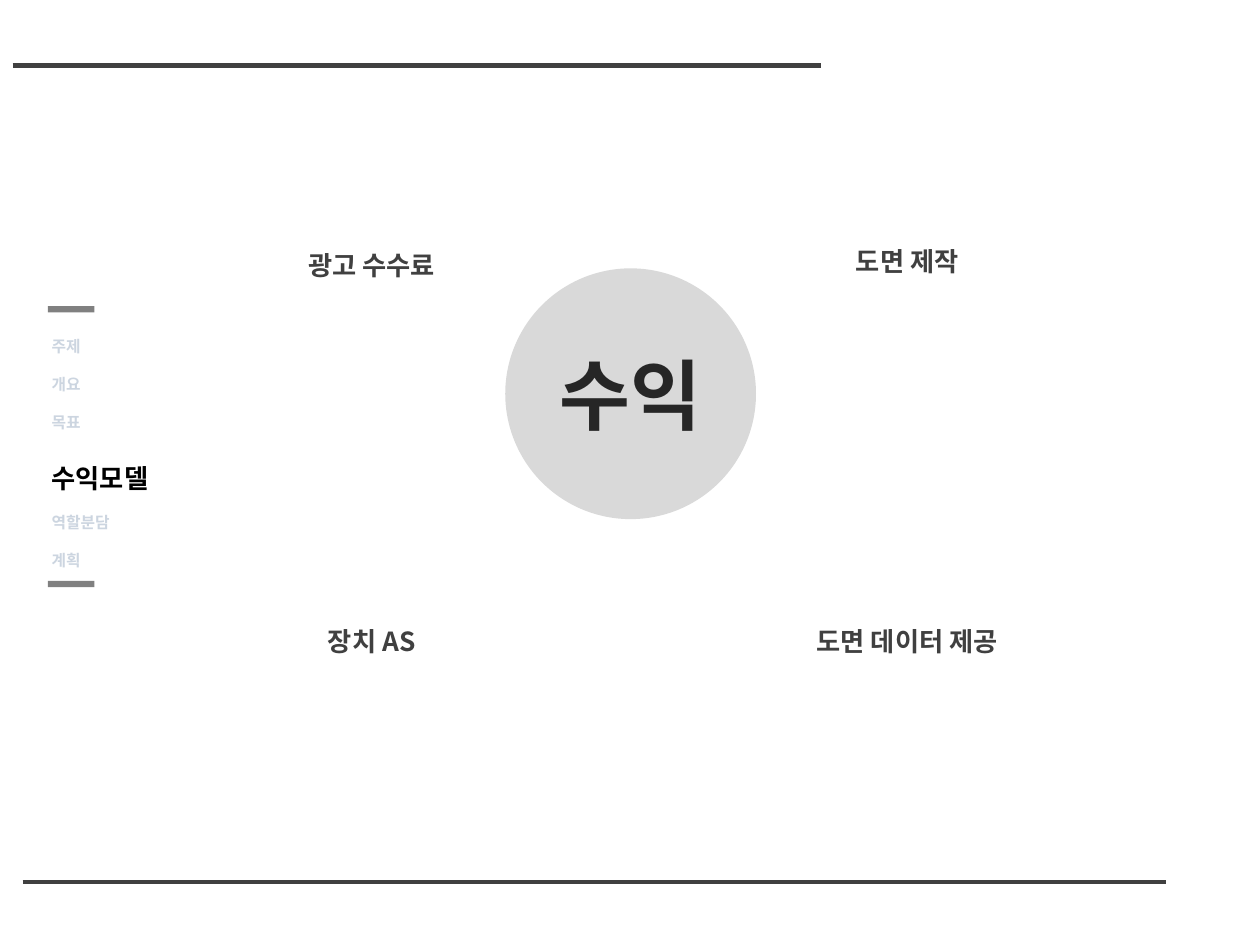
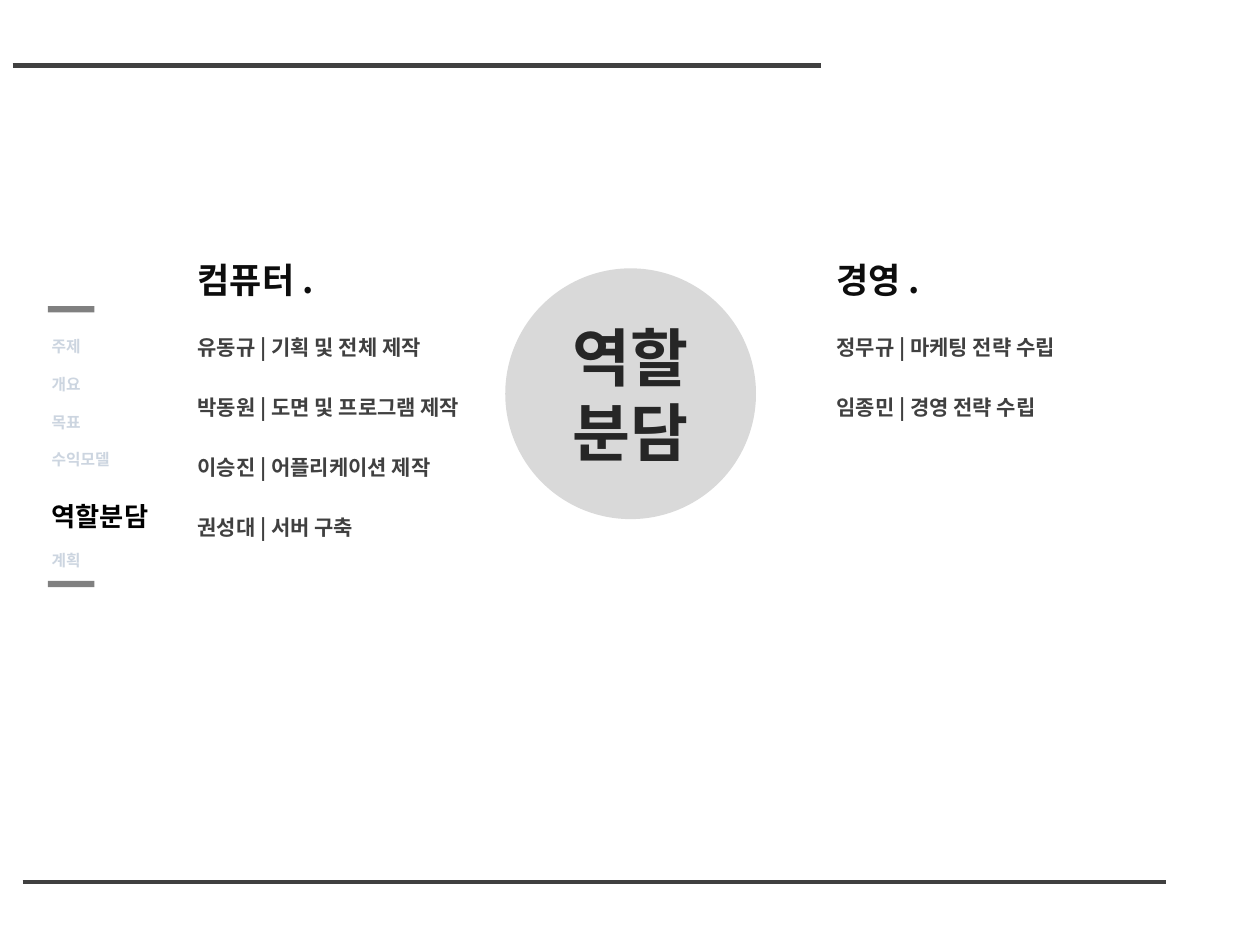
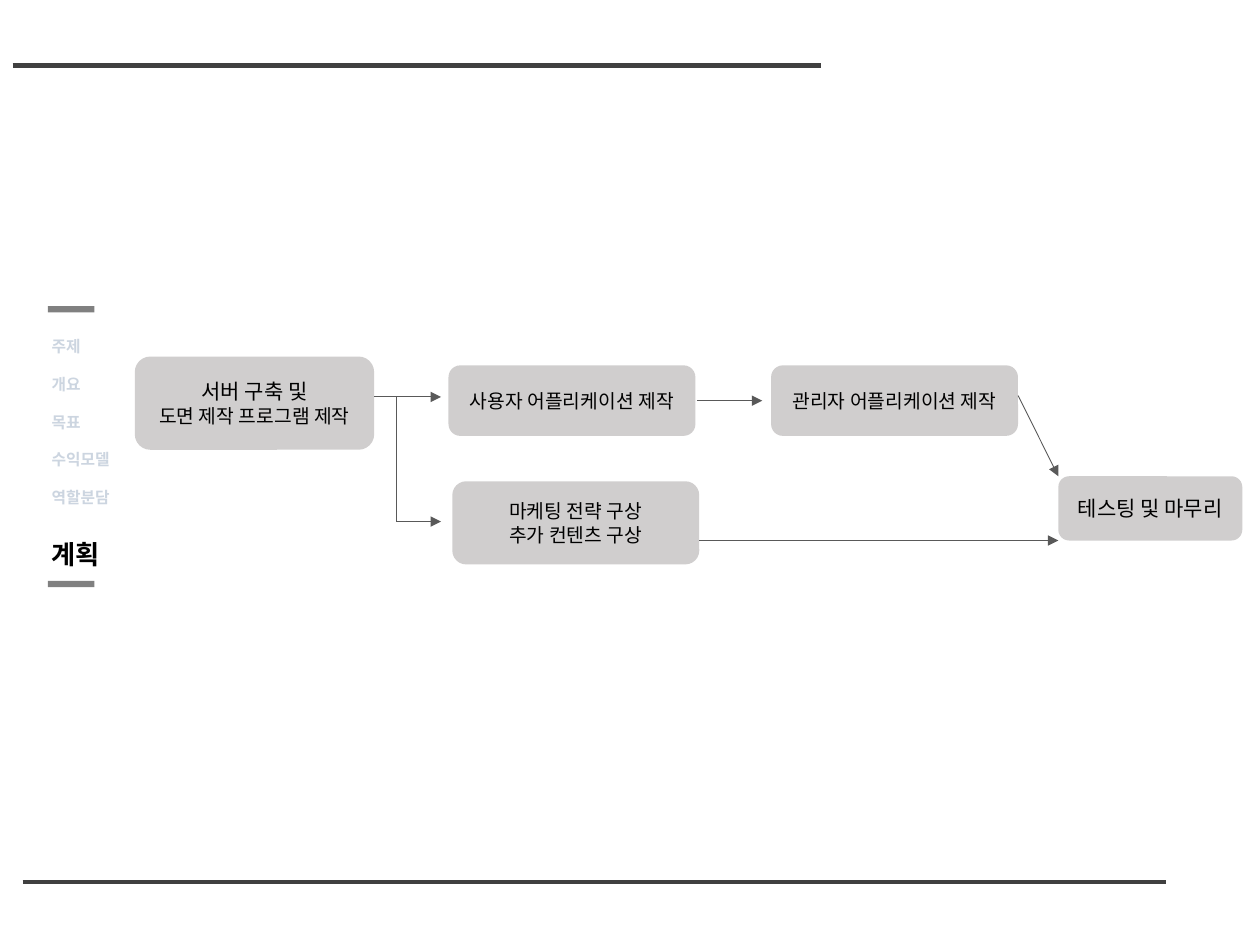
from dataclasses import dataclass

from lxml.etree import SubElement
from pptx import Presentation
from pptx.dml.color import RGBColor as RGB
from pptx.enum.shapes import MSO_CONNECTOR as LINK, MSO_SHAPE as SHAPE
from pptx.enum.text import MSO_ANCHOR as ANCHOR, MSO_AUTO_SIZE as FIT, PP_ALIGN as ALIGN
from pptx.oxml.ns import qn
from pptx.util import Inches, Pt


@dataclass(frozen=True)
class Theme:
    font: str = "Noto Sans CJK KR"
    black: str = "000000"
    ink: str = "0D0D0D"
    title: str = "262626"
    text: str = "404040"
    arrow: str = "595959"
    bar: str = "808080"
    pale: str = "CCD5E0"
    disc: str = "D9D9D9"
    node: str = "D0CECE"
    small: int = 9
    label: int = 11
    body: int = 12
    focus: int = 15
    head: int = 20
    thin: float = 0.5
    thick: float = 2.75


THEME = Theme()
COLS, ROWS = 100, 75  # grid cells across and down the slide
WIDTH, HEIGHT = Inches(10), Inches(7.5)
MENU = ["주제", "개요", "목표", "수익모델", "역할분담", "계획"]


def grid(*cells):
    """Turn alternating column and row counts into lengths."""
    units = WIDTH / COLS, HEIGHT / ROWS
    return [round(n * units[i % 2]) for i, n in enumerate(cells)]


def style(para, size, color, bold=False, align=ALIGN.LEFT):
    para.alignment = align
    for run in para.runs:
        font = run.font
        font.size, font.bold, font.name = Pt(size), bold, THEME.font
        font.color.rgb = RGB.from_string(color)
        SubElement(font._element, qn("a:ea"), typeface=THEME.font)


def place(shape, box):
    shape.left, shape.top, shape.width, shape.height = grid(*box)


def block(slide, kind, box, color):
    shape = slide.shapes.add_shape(kind, *grid(*box))
    shape.shadow.inherit = False
    shape.fill.solid()
    shape.fill.fore_color.rgb = RGB.from_string(color)
    shape.line.fill.background()
    return shape


def line(slide, ends, color, width, arrow=False):
    link = slide.shapes.add_connector(LINK.STRAIGHT, *grid(*ends))
    link.line.color.rgb = RGB.from_string(color)
    link.line.width = Pt(width)
    if arrow:
        SubElement(link.line._get_or_add_ln(), qn("a:tailEnd"), type="triangle")
    SubElement(link._element.spPr, qn("a:effectLst"))


def label(slide, box, text, size, color, align=ALIGN.LEFT):
    frame = slide.shapes.add_textbox(*grid(*box)).text_frame
    frame.word_wrap = True
    frame.text = text
    style(frame.paragraphs[0], size, color, True, align)


def menu(slide, now):
    """Fill the side list and stress the current section."""
    holder = slide.placeholders[1]
    place(holder, (3.1, 24.7, 10.9, 21.2))
    frame = holder.text_frame
    frame.text = "\n".join(MENU)
    frame.auto_size = FIT.NONE
    for para in frame.paragraphs:
        props = para._p.get_or_add_pPr()
        props.set("marL", "0")
        props.set("indent", "0")
        SubElement(props, qn("a:buNone"))
        para.line_spacing, para.space_before = 2.0, Pt(0)
        if para.text == now:
            style(para, THEME.focus, THEME.black, True)
        else:
            style(para, THEME.small, THEME.pale, True)
    for row in (24.3, 46.1):
        block(slide, SHAPE.RECTANGLE, (3.8, row, 3.7, 0.5), THEME.bar)


def start(deck, now):
    """Add a slide with its side menu and the two long rules."""
    slide = deck.slides.add_slide(deck.slide_layouts[1])
    menu(slide, now)
    for ends in ((1, 5.2, 65.2, 5.2), (1.8, 70, 92.5, 70)):
        line(slide, ends, THEME.text, THEME.thick)
    return slide


def hub(slide, text, size):
    """Set the slide title over a central disc."""
    disc = block(slide, SHAPE.OVAL, (40.1, 21.3, 19.9, 19.9), THEME.disc)
    title = slide.shapes.title
    title._element.addprevious(disc._element)
    place(title, (43, 24.2, 14.1, 14.1))
    frame = title.text_frame
    frame.text = text
    frame.auto_size = FIT.NONE
    frame.vertical_anchor = ANCHOR.MIDDLE
    style(frame.paragraphs[0], size, THEME.title, True, ALIGN.CENTER)


def team(slide, col, head, people):
    label(slide, (col, 20, 25.3, 4.4), head, THEME.head, THEME.ink)
    for i, text in enumerate(people):
        box = col, 26.1 + 4.75 * i, 28.8, 3
        label(slide, box, text, THEME.body, THEME.text)


def node(slide, box, *rows):
    """Draw a rounded step; each row is a text and its size."""
    frame = block(slide, SHAPE.ROUNDED_RECTANGLE, box, THEME.node).text_frame
    frame.word_wrap = True
    frame.vertical_anchor = ANCHOR.MIDDLE
    frame.margin_left = frame.margin_right = Inches(0.05)
    frame.text = "\n".join(text for text, _ in rows)
    for para, (_, size) in zip(frame.paragraphs, rows):
        style(para, size, THEME.black, align=ALIGN.CENTER)


def profit(deck):
    slide = start(deck, "수익모델")
    hub(slide, "수익", 44)
    for col, row, text in (
        (18.9, 19.3, "광고 수수료"),
        (61.4, 19, "도면 제작"),
        (18.9, 49.1, "장치 AS"),
        (61.4, 49.1, "도면 데이터 제공"),
    ):
        box = col, row, 21.2, 3.5
        label(slide, box, text, THEME.focus, THEME.text, ALIGN.CENTER)


def roles(deck):
    slide = start(deck, "역할분담")
    hub(slide, "역할분담", 36)
    team(slide, 14.7, "컴퓨터 .", [
        "유동규 | 기획 및 전체 제작",
        "박동원 | 도면 및 프로그램 제작",
        "이승진 | 어플리케이션 제작",
        "권성대 | 서버 구축",
    ])
    team(slide, 65.4, "경영 .", [
        "정무규 | 마케팅 전략 수립",
        "임종민 | 경영 전략 수립",
    ])


def plan(deck):
    slide = start(deck, "계획")
    title = slide.shapes.title._element
    title.getparent().remove(title)
    small, big = THEME.label, THEME.body
    node(slide, (10.7, 28.3, 19, 7.4),
         ("서버 구축 및", big), ("도면 제작 프로그램 제작", small))
    node(slide, (35.6, 29, 19.6, 5.6), ("사용자 어플리케이션 제작", small))
    node(slide, (35.9, 38.2, 19.6, 6.6),
         ("마케팅 전략 구상", small), ("추가 컨텐츠 구상", small))
    node(slide, (61.2, 29, 19.6, 5.6), ("관리자 어플리케이션 제작", small))
    node(slide, (84, 37.8, 14.6, 5.1), ("테스팅 및 마무리", big))
    line(slide, (31.5, 31.5, 31.5, 41.4), THEME.arrow, THEME.thin)
    for ends in (
        (29.7, 31.5, 35, 31.5),
        (31.5, 41.4, 35, 41.4),
        (55.3, 31.8, 60.5, 31.8),
        (80.8, 31.4, 84, 37.8),
        (55.5, 42.9, 84, 42.9),
    ):
        line(slide, ends, THEME.arrow, THEME.thin, arrow=True)


def main():
    deck = Presentation()
    deck.slide_width, deck.slide_height = WIDTH, HEIGHT
    profit(deck)
    roles(deck)
    plan(deck)
    deck.save("out.pptx")


if __name__ == "__main__":
    main()
